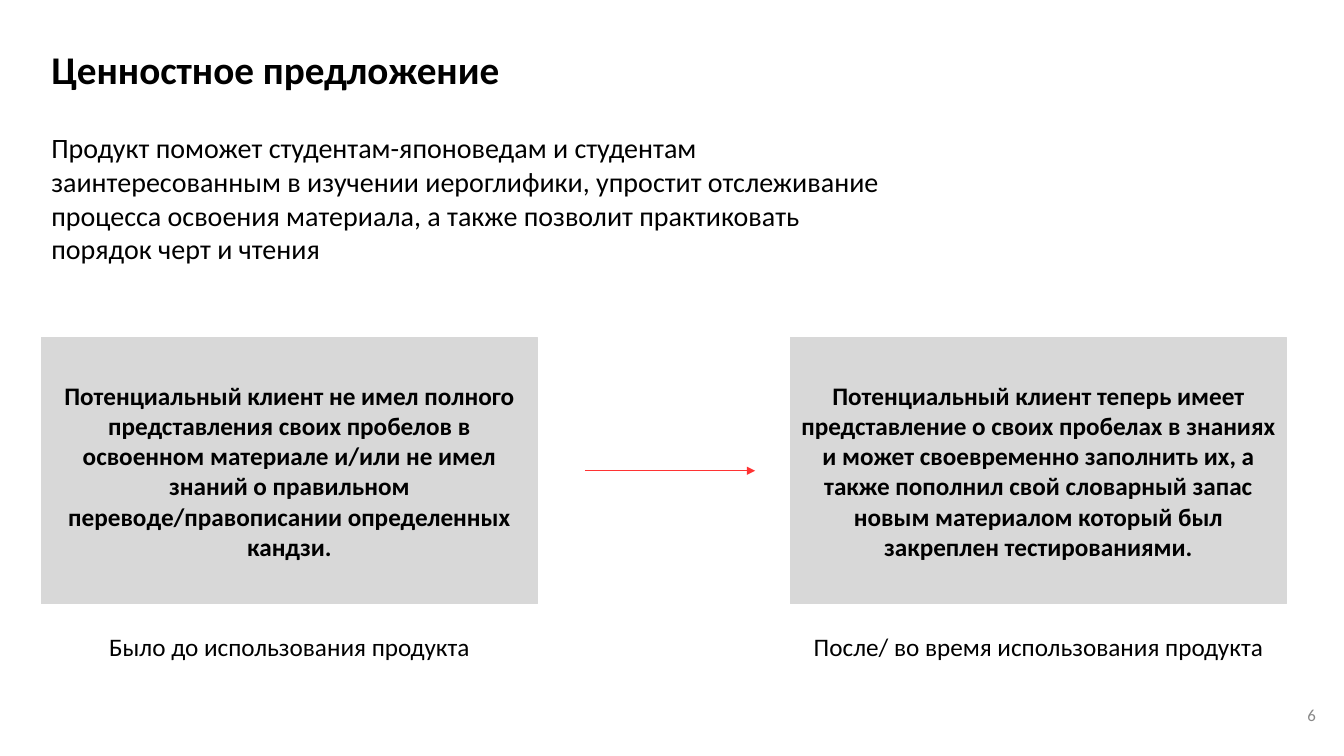
from dataclasses import dataclass

from lxml import etree
from pptx import Presentation
from pptx import util as u
from pptx.dml.color import RGBColor
from pptx.enum import shapes, text
from pptx.oxml import ns

WIDTH, HEIGHT = u.Inches(13.33), u.Inches(7.5)
FONT = "Calibri"
COLORS = {"ink": "000000", "card": "D8D8D8", "arrow": "FF3333", "number": "888888"}
LEFT, CARD_W = 3.08, 36.91
RIGHT = 58.81
CARD_TOP, CARD_H = 44.67, 35.2
LABEL_TOP = 82.8


@dataclass(frozen=True)
class Box:
    """Place on the slide, in percent of its width and height."""
    left: float
    top: float
    width: float
    height: float

    def emu(self) -> tuple[int, int, int, int]:
        """Return left, top, width and height as slide lengths."""
        return across(self.left), down(self.top), across(self.width), down(self.height)


@dataclass(frozen=True)
class Label:
    """Text with its place and look."""
    words: str
    box: Box
    size: float
    bold: bool = False
    color: str = "ink"
    align: text.PP_ALIGN = text.PP_ALIGN.LEFT
    anchor: text.MSO_ANCHOR = text.MSO_ANCHOR.TOP
    inset: bool = True


@dataclass(frozen=True)
class Stage:
    """Client state card with the caption below it."""
    left: float
    state: str
    caption: str
    caption_h: float


STAGES = [
    Stage(LEFT,
          "Потенциальный клиент не имел полного представления своих пробелов в "
          "освоенном материале и/или не имел знаний о правильном "
          "переводе/правописании определенных кандзи.",
          "Было до использования продукта", 9.47),
    Stage(RIGHT,
          "Потенциальный клиент теперь имеет представление о своих пробелах в "
          "знаниях и может своевременно заполнить их, а также пополнил свой "
          "словарный запас новым материалом который был закреплен тестированиями.",
          "После/ во время использования продукта", 13.47),
]

LABELS = [
    Label("Ценностное предложение", Box(LEFT, 5.33, 92.57, 7.6), 28, bold=True),
    Label("Продукт поможет студентам-японоведам и студентам заинтересованным в "
          "изучении иероглифики, упростит отслеживание процесса освоения "
          "материала, а также позволит практиковать порядок черт и чтения",
          Box(LEFT, 16.67, 63.32, 19.33), 20),
    Label("6", Box(91.9, 90.8, 6, 7.6), 12, color="number",
          align=text.PP_ALIGN.RIGHT, anchor=text.MSO_ANCHOR.MIDDLE, inset=False),
]


def across(percent: float) -> int:
    """Turn a percentage of the slide width into a length."""
    return round(WIDTH * percent / 100)


def down(percent: float) -> int:
    """Turn a percentage of the slide height into a length."""
    return round(HEIGHT * percent / 100)


def rgb(name: str) -> RGBColor:
    """Look up a named colour."""
    return RGBColor.from_string(COLORS[name])


def write(sp, label: Label) -> None:
    """Fill a shape with the label's text."""
    tf = sp.text_frame
    tf.word_wrap = True
    tf.vertical_anchor = label.anchor
    tf.margin_left = tf.margin_right = u.Inches(0.1 if label.inset else 0)
    tf.margin_top = tf.margin_bottom = u.Inches(0.05 if label.inset else 0)
    p = tf.paragraphs[0]
    p.text = label.words
    p.alignment = label.align
    p.font.name = FONT
    p.font.size = u.Pt(label.size)
    p.font.bold = label.bold
    p.font.color.rgb = rgb(label.color)


def draw_label(s, label: Label) -> None:
    """Add a text box."""
    write(s.shapes.add_textbox(*label.box.emu()), label)


def draw_stage(s, stage: Stage) -> None:
    """Add a card and its caption."""
    card = Label(stage.state, Box(stage.left, CARD_TOP, CARD_W, CARD_H), 18, bold=True,
                 align=text.PP_ALIGN.CENTER, anchor=text.MSO_ANCHOR.MIDDLE)
    sp = s.shapes.add_shape(shapes.MSO_SHAPE.RECTANGLE, *card.box.emu())
    sp.shadow.inherit = False
    sp.fill.solid()
    sp.fill.fore_color.rgb = sp.line.color.rgb = rgb("card")
    sp.line.width = u.Pt(1)
    write(sp, card)
    draw_label(s, Label(stage.caption, Box(stage.left, LABEL_TOP, CARD_W, stage.caption_h),
                        18, align=text.PP_ALIGN.CENTER))


def draw_arrow(s, start: float, end: float, level: float) -> None:
    """Add a horizontal arrow."""
    sp = s.shapes.add_connector(shapes.MSO_CONNECTOR.STRAIGHT,
                                across(start), down(level), across(end), down(level))
    sp.line.color.rgb = rgb("arrow")
    sp.line.width = u.Pt(0.75)
    etree.SubElement(sp.line._get_or_add_ln(), ns.qn("a:tailEnd"), type="triangle")
    etree.SubElement(sp._element.spPr, ns.qn("a:effectLst"))


def main() -> None:
    """Build and save the slide."""
    prs = Presentation()
    prs.slide_width, prs.slide_height = WIDTH, HEIGHT
    s = prs.slides.add_slide(prs.slide_layouts[6])
    for label in LABELS:
        draw_label(s, label)
    for stage in STAGES:
        draw_stage(s, stage)
    draw_arrow(s, 43.51, 56.19, CARD_TOP + CARD_H / 2)
    prs.save("out.pptx")


if __name__ == "__main__":
    main()
